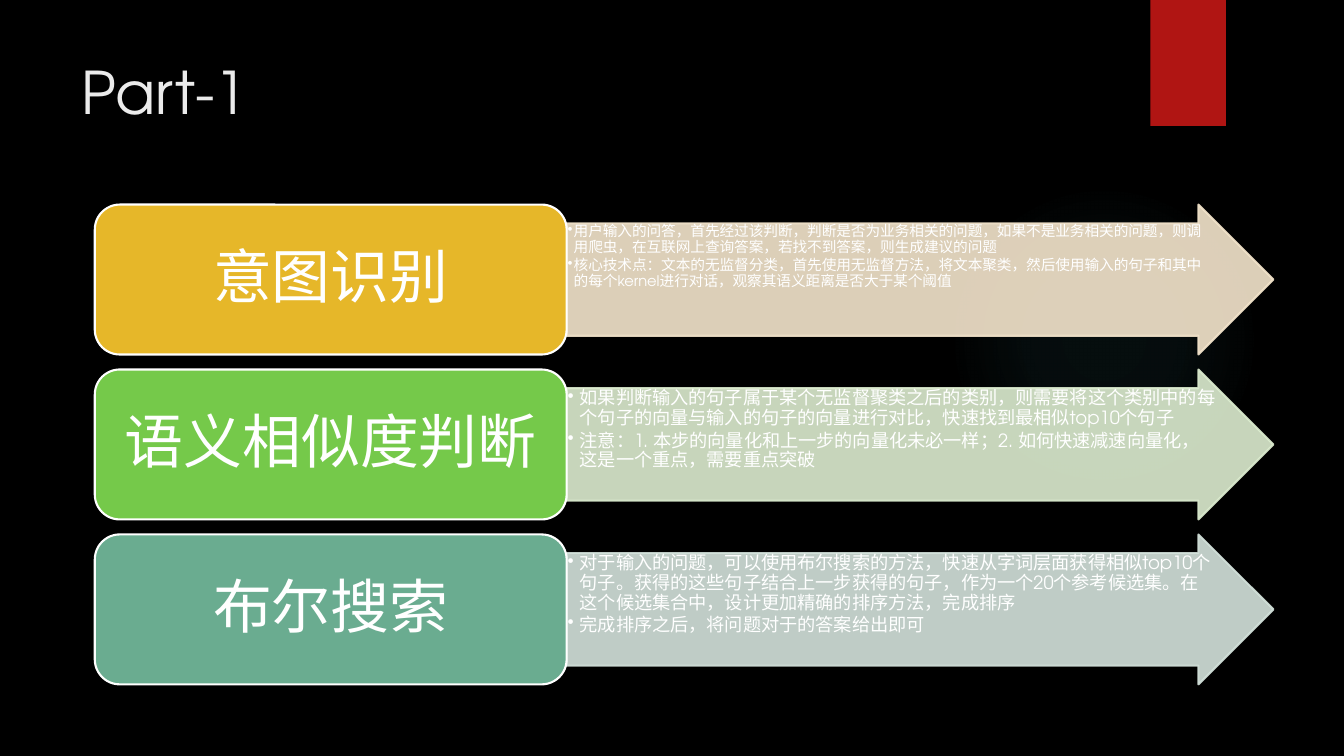
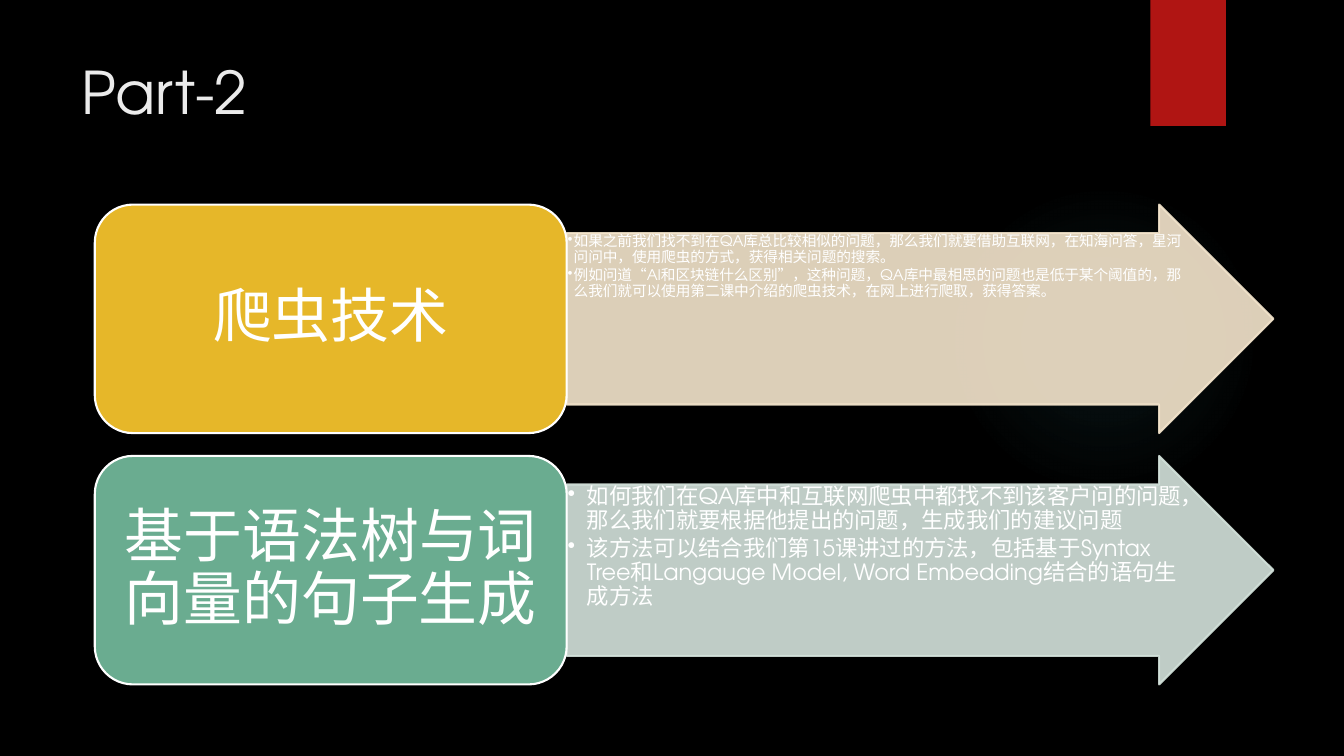
from dataclasses import dataclass

from lxml import etree
from pptx import Presentation
from pptx.dml.color import RGBColor
from pptx.enum import shapes, text
from pptx.oxml import parse_xml
from pptx.oxml.ns import nsdecls, qn
from pptx.util import Inches, Pt


@dataclass(frozen=True)
class Theme:
    font: str = "TeX Gyre Adventor"
    back: str = "000000"
    title: str = "EBEBEB"
    white: str = "FFFFFF"
    band: str = "B01513"
    glow: str = "50B9C1"
    gold: tuple = ("E6B729", "F5E6CD")
    green: tuple = ("75C94A", "DDEDD0")
    teal: tuple = ("6AAC90", "D4E3DC")
    head: float = 42
    small: tuple = (10.5, 0.06)
    mid: tuple = (13, 0.12)
    large: tuple = (16, 0.19)


T = Theme()
LEFT, SPLIT, RIGHT = 0.94, 5.62, 12.63
TOP, LOW, GAP = 2.03, 6.79, 0.1

SLIDES = [
    ("Part-1", [
        ("意图识别", T.gold, T.small, [
            "用户输入的问答，首先经过该判断，判断是否为业务相关的问题，如果不是业务相关的问题，则调用爬虫，在互联网上查询答案，若找不到答案，则生成建议的问题",
            "核心技术点：文本的无监督分类，首先使用无监督方法，将文本聚类，然后使用输入的句子和其中的每个kernel进行对话，观察其语义距离是否大于某个阈值",
        ]),
        ("语义相似度判断", T.green, T.mid, [
            "如果判断输入的句子属于某个无监督聚类之后的类别，则需要将这个类别中的每个句子的向量与输入的句子的向量进行对比，快速找到最相似top10个句子",
            "注意：1. 本步的向量化和上一步的向量化未必一样；2. 如何快速减速向量化，这是一个重点，需要重点突破",
        ]),
        ("布尔搜索", T.teal, T.mid, [
            "对于输入的问题，可以使用布尔搜索的方法，快速从字词层面获得相似top10个句子。获得的这些句子结合上一步获得的句子，作为一个20个参考候选集。在这个候选集合中，设计更加精确的排序方法，完成排序",
            "完成排序之后，将问题对于的答案给出即可",
        ]),
    ]),
    ("Part-2", [
        ("爬虫技术", T.gold, T.small, [
            "如果之前我们找不到在QA库总比较相似的问题，那么我们就要借助互联网，在知海问答，星河问问中，使用爬虫的方式，获得相关问题的搜索。",
            "例如问道“AI和区块链什么区别”，这种问题，QA库中最相思的问题也是低于某个阈值的，那么我们就可以使用第二课中介绍的爬虫技术，在网上进行爬取，获得答案。",
        ]),
        ("基于语法树与词向量的句子生成", T.teal, T.large, [
            "如何我们在QA库中和互联网爬虫中都找不到该客户问的问题，那么我们就要根据他提出的问题，生成我们的建议问题",
            "该方法可以结合我们第15课讲过的方法，包括基于Syntax Tree和Langauge Model, Word Embedding结合的语句生成方法",
        ]),
    ]),
]


def style(para, size, color):
    para.font.name = T.font
    para.font.size = Pt(size)
    para.font.color.rgb = RGBColor.from_string(color)


def draw(slide, kind, area, fill, line=None):
    shape = slide.shapes.add_shape(kind, *map(Inches, area))
    shape.shadow.inherit = False
    shape.fill.solid()
    shape.fill.fore_color.rgb = RGBColor.from_string(fill)
    if line:
        shape.line.color.rgb = RGBColor.from_string(line)
        shape.line.width = Pt(1.5)
    else:
        shape.line.fill.background()
    return shape


def write(shape, lines, size, after, align, anchor, pads, indent=0):
    frame = shape.text_frame
    frame.word_wrap = True
    frame.vertical_anchor = anchor
    frame.margin_left = frame.margin_right = Inches(pads[0])
    frame.margin_top = frame.margin_bottom = Inches(pads[1])
    frame.text = "\n".join(lines)
    for para in frame.paragraphs:
        para.alignment = align
        para.line_spacing = 0.9
        para.space_after = Pt(size * after)
        if indent:
            props = para._p.get_or_add_pPr()
            props.set("marL", str(Inches(indent)))
            props.set("indent", str(-Inches(indent)))
            etree.SubElement(props, qn("a:buChar")).set("char", "•")
        style(para, size, T.white)


def add_row(slide, row, top, high):
    name, (dark, pale), (size, indent), lines = row
    arrow = draw(slide, shapes.MSO_SHAPE.RIGHT_ARROW,
                 (SPLIT, top, RIGHT - SPLIT, high), pale, pale)
    arrow.adjustments[0] = 0.75
    arrow.adjustments[1] = 0.5
    for color in arrow.element.spPr.iter(qn("a:srgbClr")):
        etree.SubElement(color, qn("a:alpha")).set("val", "90000")
    write(arrow, lines, size, 0.15, text.PP_ALIGN.LEFT,
          text.MSO_ANCHOR.TOP, (0.01, 0.01), indent)
    box = draw(slide, shapes.MSO_SHAPE.ROUNDED_RECTANGLE,
               (LEFT, top, SPLIT - LEFT, high), dark, T.white)
    write(box, [name], T.head, 0.35, text.PP_ALIGN.CENTER,
          text.MSO_ANCHOR.MIDDLE, (0.17, 0.09))


def dress(layout, slide):
    layout.background.fill.solid()
    layout.background.fill.fore_color.rgb = RGBColor.from_string(T.back)
    glow = draw(slide, shapes.MSO_SHAPE.OVAL, (9.41, 1.83, 3.08, 3.08), T.glow)
    stops = "".join(
        f'<a:gs pos="{pos}000"><a:srgbClr val="{T.glow}">'
        f'<a:alpha val="{alpha}000"/></a:srgbClr></a:gs>'
        for pos, alpha in ((0, 7), (36, 6), (69, 0), (100, 0)))
    props = glow.element.spPr
    props.replace(props.find(qn("a:solidFill")), parse_xml(
        f'<a:gradFill {nsdecls("a")}><a:gsLst>{stops}</a:gsLst>'
        '<a:path path="circle"><a:fillToRect l="50000" t="50000" '
        'r="50000" b="50000"/></a:path></a:gradFill>'))
    band = draw(slide, shapes.MSO_SHAPE.RECTANGLE, (11.41, 0, 0.75, 1.25), T.band)
    for spot, shape in enumerate((glow, band), 2):
        layout.shapes.element.insert(spot, shape.element)


def add_title(slide, name):
    title = slide.shapes.title
    title.left, title.top, title.width, title.height = map(
        Inches, (0.71, 0.5, 10.29, 1.53))
    title.text_frame.text = name
    title.text_frame.vertical_anchor = text.MSO_ANCHOR.TOP
    para = title.text_frame.paragraphs[0]
    para.alignment = text.PP_ALIGN.LEFT
    style(para, T.head, T.title)


def main():
    deck = Presentation()
    deck.slide_width, deck.slide_height = Inches(13.33), Inches(7.5)
    layout = deck.slide_layouts[5]
    for name, rows in SLIDES:
        slide = deck.slides.add_slide(layout)
        if len(deck.slides) == 1:
            dress(layout, slide)
        add_title(slide, name)
        count = len(rows)
        high = (LOW - TOP) / (count + GAP * (count - 1))
        for i, row in enumerate(rows):
            add_row(slide, row, TOP + i * high * (1 + GAP), high)
    deck.save("out.pptx")


if __name__ == "__main__":
    main()
